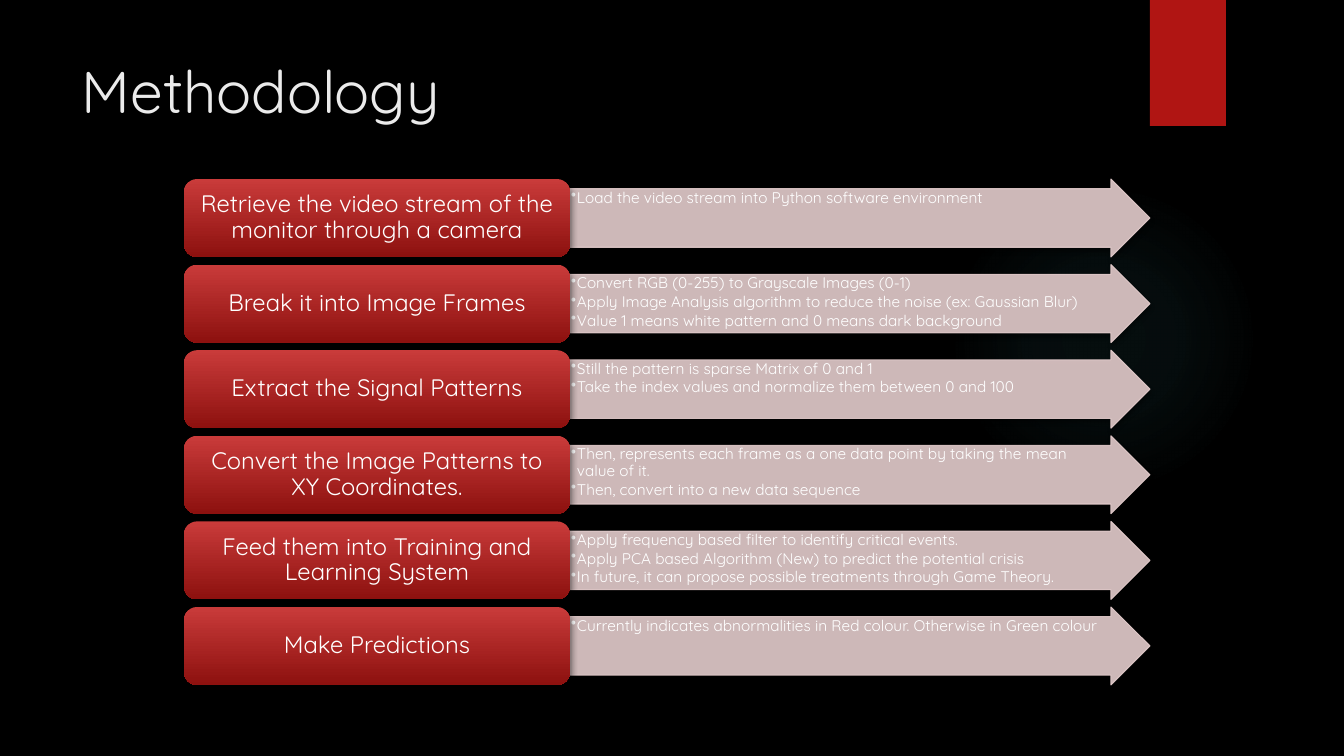
"""Build the Methodology slide: six steps, each with an arrow of details."""
import pptx
import pptx.dml.color
import pptx.enum.dml
import pptx.enum.shapes
import pptx.enum.text
import pptx.oxml
import pptx.oxml.ns
import pptx.util
from lxml import etree

RGBColor = pptx.dml.color.RGBColor
SHAPE = pptx.enum.shapes.MSO_SHAPE
ALIGN = pptx.enum.text.PP_ALIGN
ANCHOR = pptx.enum.text.MSO_ANCHOR
qn = pptx.oxml.ns.qn

TITLE = "Methodology"
STEPS = [
    ("Retrieve the video stream of the monitor through a camera",
     ["Load the video stream into Python software environment"]),
    ("Break it into Image Frames",
     ["Convert RGB (0-255) to Grayscale Images (0-1)",
      "Apply Image Analysis algorithm to reduce the noise (ex: Gaussian Blur)",
      "Value 1 means white pattern and 0 means dark background"]),
    ("Extract the Signal Patterns",
     ["Still the pattern is sparse Matrix of 0 and 1",
      "Take the index values and normalize them between 0 and 100"]),
    ("Convert the Image Patterns to XY Coordinates.",
     ["Then, represents each frame as a one data point by taking the mean value of it.",
      "Then, convert into a new data sequence"]),
    ("Feed them into Training and Learning System",
     ["Apply frequency based filter to identify critical events.",
      "Apply PCA based Algorithm (New) to predict the potential crisis",
      "In future, it can propose possible treatments through Game Theory."]),
    ("Make Predictions",
     ["Currently indicates abnormalities in Red colour. Otherwise in Green colour"]),
]

FONT = "Quicksand"
BLACK = RGBColor(0x00, 0x00, 0x00)
WHITE = RGBColor(0xFF, 0xFF, 0xFF)
TITLE_GREY = RGBColor(0xEB, 0xEB, 0xEB)
ACCENT_RED = RGBColor(0xB0, 0x15, 0x13)
STEP_TOP = RGBColor(0xC9, 0x3B, 0x3A)
STEP_BOTTOM = RGBColor(0x8D, 0x11, 0x0F)
ARROW_PINK = RGBColor(0xE4, 0xCC, 0xCC)
GLOW_TEAL = RGBColor(0x50, 0xB9, 0xC1)
GLOW_STOPS = [(0, 7), (36, 6), (69, 0)]

SLIDE_W, SLIDE_H = 1344, 756
DIAGRAM_TOP, DIAGRAM_H = 179, 506
STEP_LEFT, STEP_W, ROW_H = 184, 386, 78
ARROW_W = 580
ROW_PITCH = (DIAGRAM_H - ROW_H) / (len(STEPS) - 1)


def px(length):
    """Turn pixels into EMU."""
    return pptx.util.Emu(round(length * 914400 / 100.8))


def put_text(frame, lines, size, color=WHITE, align=ALIGN.LEFT, anchor=ANCHOR.TOP,
             insets=(10, 5, 10, 5), spacing=0.9, after=0, bullet=None):
    """Fill a text frame with formatted paragraphs."""
    frame.word_wrap = True
    frame.auto_size = pptx.enum.text.MSO_AUTO_SIZE.NONE
    frame.vertical_anchor = anchor
    (frame.margin_left, frame.margin_top,
     frame.margin_right, frame.margin_bottom) = map(px, insets)
    for index, line in enumerate(lines):
        paragraph = frame.add_paragraph() if index else frame.paragraphs[0]
        paragraph.text = line
        if bullet:
            properties = paragraph._p.get_or_add_pPr()
            properties.set("marL", str(px(6)))
            properties.set("indent", str(px(-6)))
            etree.SubElement(properties, qn("a:buChar")).set("char", bullet)
        paragraph.alignment = align
        paragraph.line_spacing = spacing
        paragraph.space_after = pptx.util.Pt(after)
        font = paragraph.runs[0].font
        font.name, font.size = FONT, pptx.util.Pt(size)
        font.color.rgb = color


def set_alpha(color_element, percent):
    """Make a colour element partly transparent."""
    etree.SubElement(color_element, qn("a:alpha")).set("val", str(percent * 1000))


def add_color(parent, color, percent):
    """Add a colour with an opacity to an XML parent."""
    element = etree.SubElement(parent, qn("a:srgbClr"))
    element.set("val", str(color))
    set_alpha(element, percent)


def add_plain(slide, kind, left, top, width, height):
    """Add a shape without outline or inherited shadow."""
    shape = slide.shapes.add_shape(kind, px(left), px(top), px(width), px(height))
    shape.shadow.inherit = False
    shape.line.fill.background()
    return shape


def drop_shadow(shape, opacity, blur, distance):
    """Cast a black shadow straight down, measured in points."""
    effects = shape._element.spPr.find(qn("a:effectLst"))
    shadow = etree.SubElement(effects, qn("a:outerShdw"))
    shadow.set("blurRad", str(pptx.util.Pt(blur)))
    shadow.set("dist", str(pptx.util.Pt(distance)))
    shadow.set("dir", "5400000")
    shadow.set("rotWithShape", "0")
    add_color(shadow, BLACK, opacity)


def add_glow(slide):
    """Add the faint radial glow on the right."""
    glow = add_plain(slide, SHAPE.OVAL, 949, 184, 310, 310)
    glow.fill.gradient()
    gradient = glow._element.spPr.find(qn("a:gradFill"))
    for child in list(gradient):
        gradient.remove(child)
    stops = etree.SubElement(gradient, qn("a:gsLst"))
    for position, opacity in GLOW_STOPS:
        stop = etree.SubElement(stops, qn("a:gs"))
        stop.set("pos", str(position * 1000))
        add_color(stop, GLOW_TEAL, opacity)
    circle = etree.SubElement(gradient, qn("a:path"))
    circle.set("path", "circle")
    center = etree.SubElement(circle, qn("a:fillToRect"))
    for side in "ltrb":
        center.set(side, "50000")


def add_arrow(slide, top, details):
    """Add the arrow that lists the details of a step."""
    arrow = add_plain(slide, SHAPE.RIGHT_ARROW, STEP_LEFT + STEP_W, top, ARROW_W, ROW_H)
    arrow.adjustments[0], arrow.adjustments[1] = 0.75, 0.5
    arrow.line.width = pptx.util.Pt(0.75)
    for fill in (arrow.fill, arrow.line.fill):
        fill.solid()
        fill.fore_color.rgb = ARROW_PINK
    for color in arrow._element.spPr.findall(".//" + qn("a:srgbClr")):
        set_alpha(color, 90)
    drop_shadow(arrow, 45, 3, 2)
    put_text(arrow.text_frame, details, 11, insets=(1, 1, 21, 1), after=1.5, bullet="•")


def add_step(slide, top, name):
    """Add the red box that names a step."""
    step = add_plain(slide, SHAPE.ROUNDED_RECTANGLE, STEP_LEFT, top, STEP_W, ROW_H)
    step.fill.gradient()
    step.fill.gradient_angle = 270
    for stop, color in zip(step.fill.gradient_stops, (STEP_TOP, STEP_BOTTOM)):
        stop.color.rgb = color
    drop_shadow(step, 60, 5, 3)
    put_text(step.text_frame, [name], 17, align=ALIGN.CENTER, anchor=ANCHOR.MIDDLE,
             insets=(7, 4, 7, 4))


def main():
    """Lay out the slide and save it."""
    deck = pptx.Presentation()
    deck.slide_width, deck.slide_height = px(SLIDE_W), px(SLIDE_H)
    slide = deck.slides.add_slide(deck.slide_layouts[5])
    slide.background.fill.solid()
    slide.background.fill.fore_color.rgb = BLACK

    add_glow(slide)
    ribbon = add_plain(slide, SHAPE.RECTANGLE, 1150, 0, 76, 126)
    ribbon.fill.solid()
    ribbon.fill.fore_color.rgb = ACCENT_RED
    drop_shadow(ribbon, 45, 3, 2)

    title = slide.shapes.title
    title.left, title.top, title.width, title.height = map(px, (72, 50, 1037, 154))
    put_text(title.text_frame, [TITLE], 42, color=TITLE_GREY, spacing=1.0)

    for row, (name, details) in enumerate(STEPS):
        top = DIAGRAM_TOP + row * ROW_PITCH
        add_arrow(slide, top, details)
        add_step(slide, top, name)
    deck.save("out.pptx")


if __name__ == "__main__":
    main()
